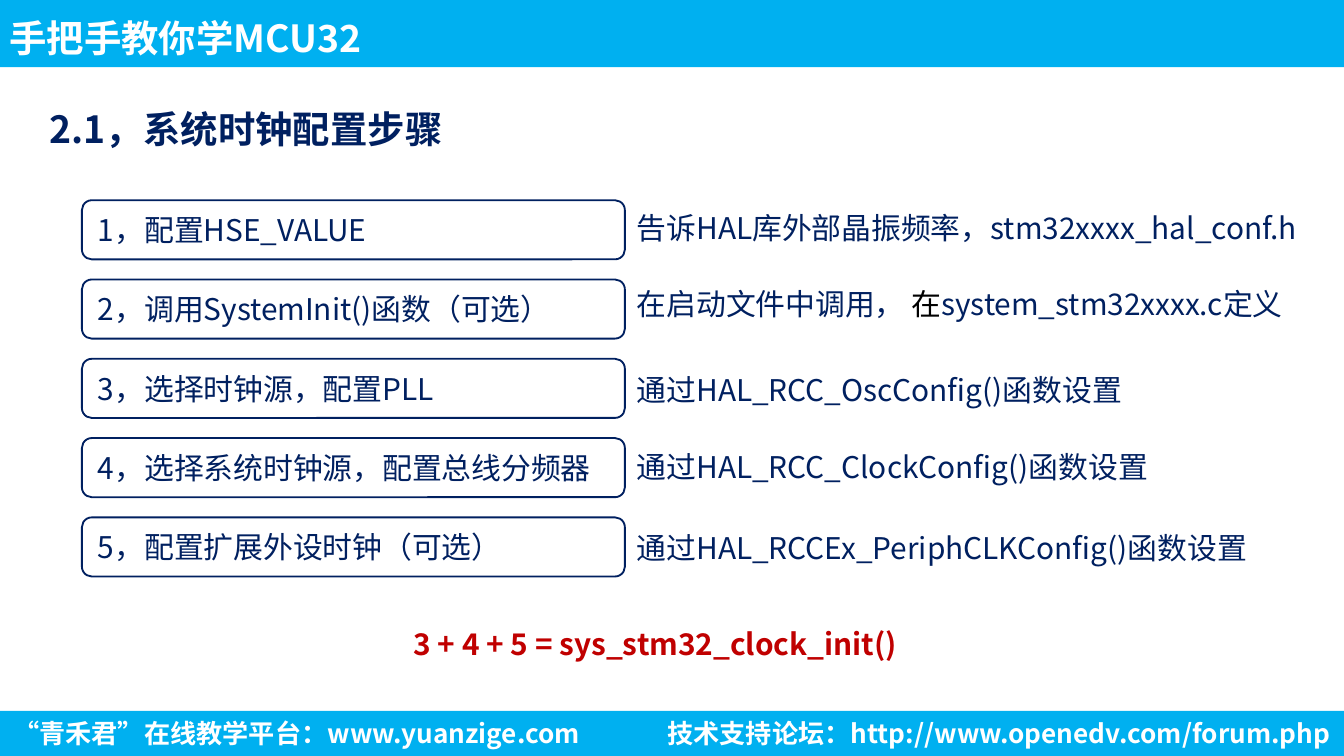
from pptx import Presentation
from pptx.dml.color import RGBColor
from pptx.enum.shapes import MSO_SHAPE as Shape
from pptx.enum.text import MSO_ANCHOR as Anchor, MSO_AUTO_SIZE as AutoSize, PP_ALIGN as Align
from pptx.util import Inches, Pt

COLORS = {"sky": "00B0F0", "navy": "002060", "red": "C00000", "white": "FFFFFF", "black": "000000"}
FONT = "Noto Sans CJK SC"
COLUMNS, ROWS = 100, 56.25
FIRST_ROW, ROW_STEP = 14.9, 5.9

STEPS = ["1，配置HSE_VALUE", "2，调用SystemInit()函数（可选）", "3，选择时钟源，配置PLL",
         "4，选择系统时钟源，配置总线分频器", "5，配置扩展外设时钟（可选）"]
NOTES = [
    (0.2, 52.3, False, [("告诉HAL库外部晶振频率，stm32xxxx_hal_conf.h", "navy")]),
    (0, 51.2, True, [("在启动文件中调用， ", "navy"), ("在", "black"), ("system_stm32xxxx.c定义", "navy")]),
    (0.5, 38.3, False, [("通过HAL_RCC_OscConfig()函数设置", "navy")]),
    (0.3, 40.2, False, [("通过HAL_RCC_ClockConfig()函数设置", "navy")]),
    (0.4, 47.6, False, [("通过HAL_RCCEx_PeriphCLKConfig()函数设置", "navy")]),
]


class SlideBuilder:
    def __init__(self, presentation):
        self.slide = presentation.slides.add_slide(presentation.slide_layouts[6])
        self.column = presentation.slide_width / COLUMNS
        self.row = presentation.slide_height / ROWS

    def place(self, left, top, width, height):
        return (round(left * self.column), round(top * self.row),
                round(width * self.column), round(height * self.row))

    def color(self, name):
        return RGBColor.from_string(COLORS[name])

    def style(self, paragraph, size, color, bold=False):
        font = paragraph.font
        font.name, font.size, font.bold = FONT, Pt(size), bold
        font.color.rgb = self.color(color)

    def band(self, top, height):
        shape = self.slide.shapes.add_shape(Shape.RECTANGLE, *self.place(0, top, COLUMNS, height))
        shape.shadow.inherit = False
        shape.fill.solid()
        shape.fill.fore_color.rgb = self.color("sky")
        shape.line.fill.background()

    def step(self, area, text):
        shape = self.slide.shapes.add_shape(Shape.ROUNDED_RECTANGLE, *self.place(*area))
        shape.shadow.inherit = False
        shape.fill.solid()
        shape.fill.fore_color.rgb = self.color("white")
        shape.line.color.rgb = self.color("navy")
        shape.line.width = Pt(1)
        frame = shape.text_frame
        frame.vertical_anchor = Anchor.MIDDLE
        paragraph = frame.paragraphs[0]
        paragraph.text = text
        paragraph.alignment = Align.LEFT
        self.style(paragraph, 16, "navy")

    def text(self, area, runs, size=16, bold=False, align=Align.LEFT, wrap=True,
             spacing=None, insets=(0.1, 0.05), anchor=Anchor.TOP, grow=True):
        frame = self.slide.shapes.add_textbox(*self.place(*area)).text_frame
        frame.word_wrap = wrap
        frame.auto_size = AutoSize.SHAPE_TO_FIT_TEXT if grow else AutoSize.NONE
        frame.vertical_anchor = anchor
        frame.margin_left = frame.margin_right = Inches(insets[0])
        frame.margin_top = frame.margin_bottom = Inches(insets[1])
        paragraph = frame.paragraphs[0]
        paragraph.alignment = align
        paragraph.line_spacing = spacing
        self.style(paragraph, size, runs[0][1], bold)
        for words, color in runs:
            run = paragraph.add_run()
            run.text = words
            self.style(run, size, color, bold)


def main():
    presentation = Presentation()
    presentation.slide_width, presentation.slide_height = Inches(10), Inches(5.625)
    builder = SlideBuilder(presentation)

    builder.band(0, 5)
    builder.band(52.9, 3.35)
    builder.text((0, 0, 64.5, 5), [("手把手教你学MCU32", "white")], size=20, bold=True,
                 spacing=1.2, insets=(0.07, 0.04), anchor=Anchor.MIDDLE, grow=False)
    builder.text((0, 52.9, 58.8, 3.4), [("“青禾君”在线教学平台：www.yuanzige.com", "white")],
                 size=14, bold=True)
    builder.text((37.3, 52.9, 62.7, 3.4), [("技术支持论坛：http://www.openedv.com/forum.php", "white")],
                 size=14, bold=True, align=Align.RIGHT)
    builder.text((3.2, 6, 52.4, 5), [("2.1，系统时钟配置步骤", "navy")], size=20, bold=True,
                 spacing=1.5, insets=(0.05, 0.02))

    for index, (step, (offset, width, wrap, runs)) in enumerate(zip(STEPS, NOTES)):
        top = FIRST_ROW + index * ROW_STEP
        builder.step((6.1, top, 40.4, 4.4), step)
        builder.text((46.4, top + offset, width, 3.7), runs, wrap=wrap)

    builder.text((29.8, 46.1, 40.4, 3.7), [("3 + 4 + 5 = sys_stm32_clock_init()", "red")], bold=True)
    presentation.save("out.pptx")


if __name__ == "__main__":
    main()
